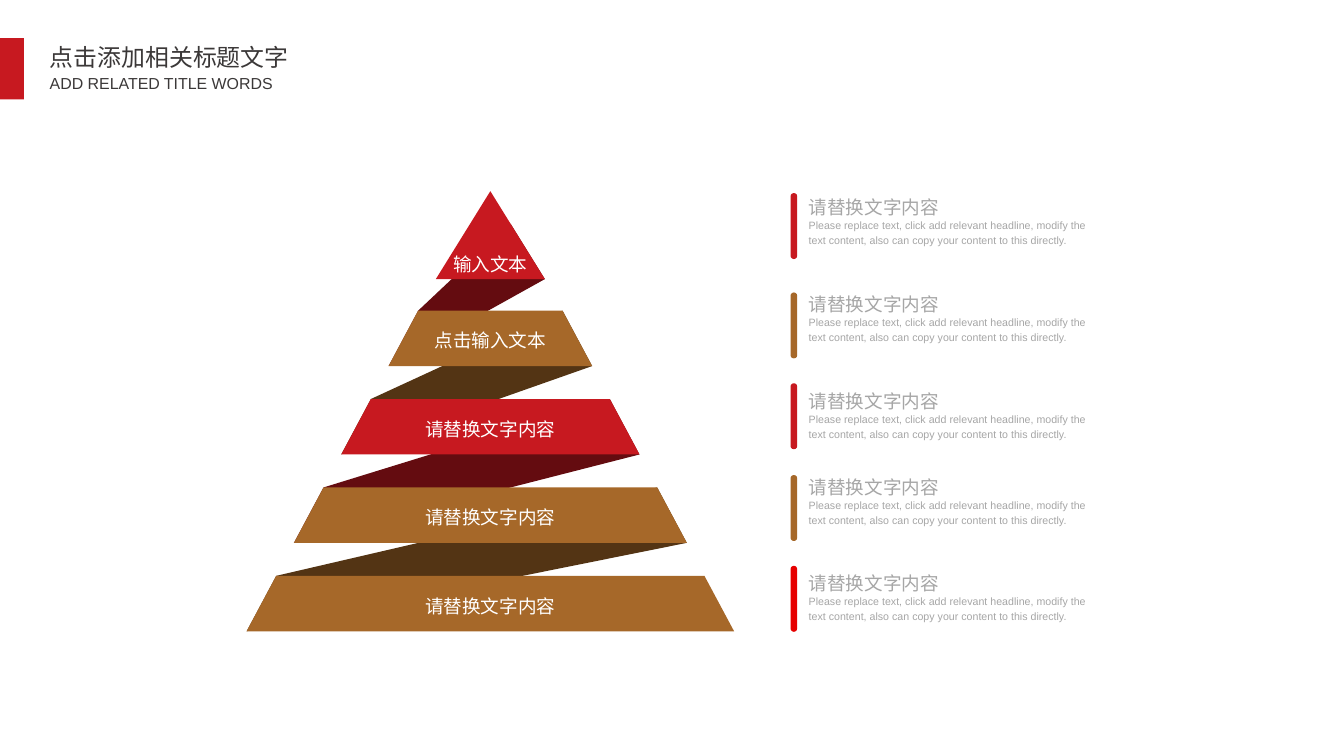
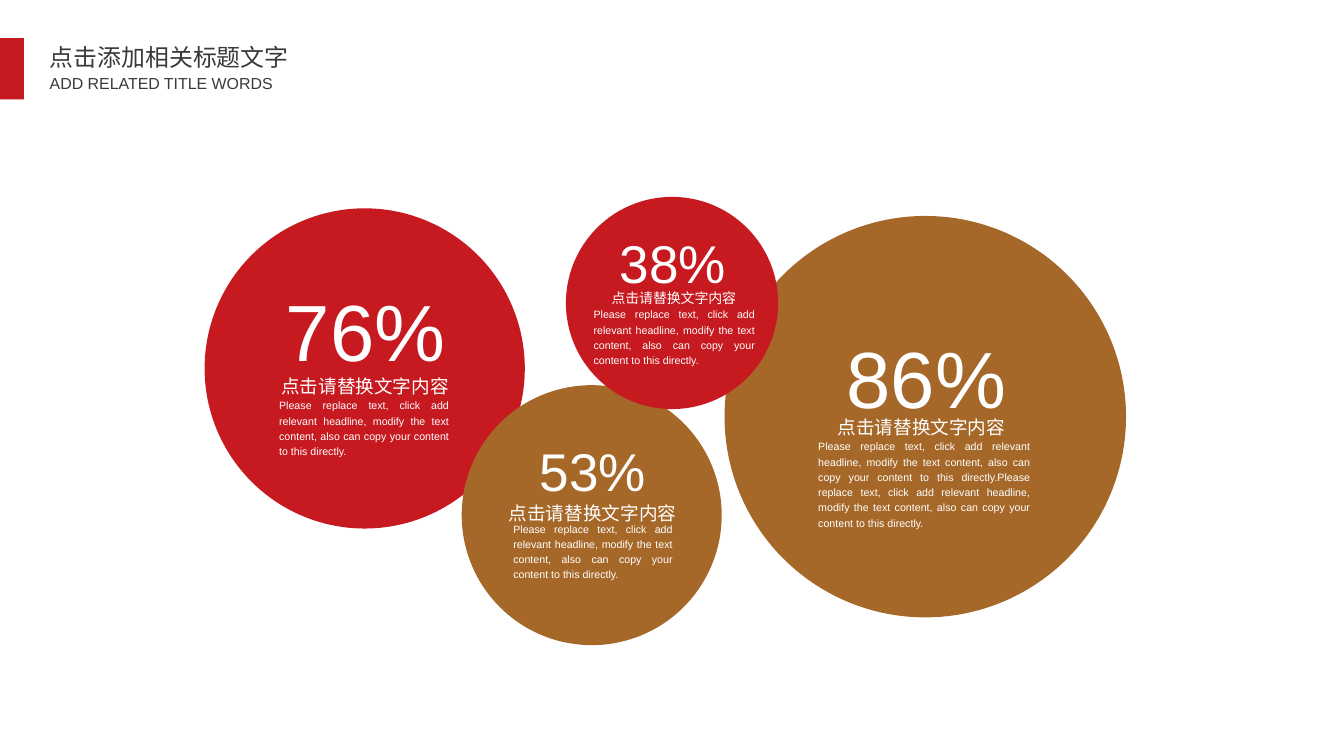
from dataclasses import dataclass

import lxml.etree
import pptx
import pptx.dml.color
import pptx.enum.shapes
import pptx.enum.text
import pptx.oxml.ns
import pptx.util

Inches = pptx.util.Inches
ALIGN = pptx.enum.text.PP_ALIGN
ANCHOR = pptx.enum.text.MSO_ANCHOR
SHAPE = pptx.enum.shapes.MSO_SHAPE

RED, BROWN, BRIGHT_RED = "C71920", "A66829", "E60000"
DARK_RED, DARK_BROWN = "640C10", "533414"
WHITE, GREY, CHARCOAL = "FFFFFF", "A6A6A6", "3B3838"
LATIN_FONT, CHINESE_FONT = "Arial", "Noto Sans CJK SC"

HEADING = "请替换文字内容"
CAPTION = "点击请替换文字内容"
BODY = ("Please replace text, click add relevant headline, modify the text "
        "content, also can copy your content to this directly.")

# Pyramid geometry
CENTER = 5.13
BAND_HEIGHT = 0.58
BAND_SLANT = 0.31
LABEL_HEIGHT = 0.47


@dataclass
class TextStyle:
    size: float
    color: str
    font: str = LATIN_FONT
    align: ALIGN = ALIGN.LEFT
    spacing: float = 1.2


@dataclass
class Band:
    top: float
    height: float
    top_half: float
    bottom_half: float
    label: str
    color: str
    fold_color: str = ""
    label_drop: float = 0.0

    @property
    def bottom(self) -> float:
        return self.top + self.height

    def outline(self) -> list[tuple[float, float]]:
        return [(CENTER - self.top_half, self.top),
                (CENTER - self.bottom_half, self.bottom),
                (CENTER + self.bottom_half, self.bottom),
                (CENTER + self.top_half, self.top)]

    def shoulder(self) -> tuple[float, float]:
        """Point on the right edge, one band height above the bottom."""
        share = BAND_HEIGHT / self.height
        half = self.bottom_half + (self.top_half - self.bottom_half) * share
        return CENTER + half, self.bottom - BAND_HEIGHT


@dataclass
class Item:
    bar_top: float
    text_top: float
    color: str


@dataclass
class Bubble:
    left: float
    top: float
    diameter: float
    color: str
    percent: str
    percent_size: float
    percent_top: float
    caption_center: float
    caption_top: float
    caption_size: float
    body_left: float
    body_top: float
    body_width: float
    body: str = BODY


def middle_band(index: int, label: str, color: str, fold_color: str = "") -> Band:
    half = 0.57 + 0.495 * index
    return Band(3.25 + 0.925 * (index - 1), BAND_HEIGHT, half - BAND_SLANT,
                half, label, color, fold_color)


BANDS = [
    Band(2, 0.92, 0, 0.57, "输入文本", RED, DARK_RED, 0.11),
    middle_band(1, "点击输入文本", BROWN, DARK_BROWN),
    middle_band(2, HEADING, RED, DARK_RED),
    middle_band(3, HEADING, BROWN, DARK_BROWN),
    middle_band(4, HEADING, BROWN),
]
ITEMS = [
    Item(2.02, 2.00, RED),
    Item(3.06, 3.02, BROWN),
    Item(4.01, 4.03, RED),
    Item(4.97, 4.93, BROWN),
    Item(5.92, 5.94, BRIGHT_RED),
]
BUBBLES = [
    Bubble(7.58, 2.26, 4.2, BROWN, "86%", 60, 3.24, 9.64, 4.3, 14,
           8.56, 4.58, 2.22, BODY * 2),
    Bubble(2.14, 2.18, 3.35, RED, "76%", 60, 2.75, 3.82, 3.88, 14,
           2.92, 4.15, 1.78),
    Bubble(4.83, 4.03, 2.72, BROWN, "53%", 40, 4.45, 6.2, 5.2, 14,
           5.37, 5.44, 1.67),
    Bubble(5.92, 2.06, 2.22, RED, "38%", 40, 2.28, 7.05, 2.99, 10.5,
           6.21, 3.2, 1.69),
]


def rgb(color: str) -> pptx.dml.color.RGBColor:
    return pptx.dml.color.RGBColor.from_string(color)


def apply(target, values: dict) -> None:
    for name, value in values.items():
        setattr(target, name, value)


def paint(shape, color: str) -> None:
    shape.fill.solid()
    shape.fill.fore_color.rgb = rgb(color)
    shape.line.fill.background()
    shape.shadow.inherit = False


def write(box, text: str, style: TextStyle, anchor=ANCHOR.TOP,
          margins: tuple[float, float] = (0, 0)) -> None:
    """Fill a text box or placeholder with one formatted paragraph."""
    side, edge = (Inches(margin) for margin in margins)
    frame = box.text_frame
    apply(frame, {"word_wrap": True, "vertical_anchor": anchor,
                  "auto_size": pptx.enum.text.MSO_AUTO_SIZE.NONE,
                  "margin_left": side, "margin_right": side,
                  "margin_top": edge, "margin_bottom": edge})
    para = frame.paragraphs[0]
    apply(para, {"alignment": style.align, "line_spacing": style.spacing,
                 "space_before": pptx.util.Pt(0)})
    span = para.add_run()
    span.text = text
    apply(span.font, {"name": style.font, "size": pptx.util.Pt(style.size)})
    span.font.color.rgb = rgb(style.color)
    # East Asian letters take the same font
    for properties in box.element.iter(pptx.oxml.ns.qn("a:rPr")):
        lxml.etree.SubElement(properties, pptx.oxml.ns.qn("a:ea"),
                              typeface=style.font)


def add_text(page, left: float, top: float, width: float, height: float,
             text: str, style: TextStyle, anchor=ANCHOR.TOP) -> None:
    box = page.shapes.add_textbox(Inches(left), Inches(top), Inches(width),
                                  Inches(height))
    write(box, text, style, anchor)


def add_shape(page, kind: SHAPE, left: float, top: float, width: float,
              height: float, color: str):
    shape = page.shapes.add_shape(kind, Inches(left), Inches(top),
                                  Inches(width), Inches(height))
    paint(shape, color)
    return shape


def add_polygon(page, points: list[tuple[float, float]], color: str) -> None:
    start, *others = [(Inches(x), Inches(y)) for x, y in points]
    builder = page.shapes.build_freeform(*start)
    builder.add_line_segments(others, close=True)
    paint(builder.convert_to_shape(), color)


def add_page(deck):
    """Add a page with the shared Chinese and English titles."""
    page = deck.slides.add_slide(deck.slide_layouts[0])
    headers = [
        (0.40, 0.41, "点击添加相关标题文字", TextStyle(18, CHARCOAL, CHINESE_FONT, spacing=1.0)),
        (0.72, 0.31, "ADD RELATED TITLE WORDS", TextStyle(12, CHARCOAL, spacing=1.0)),
    ]
    for box, (top, height, text, style) in zip(page.placeholders, headers):
        apply(box, {"left": Inches(0.41), "top": Inches(top),
                    "width": Inches(4), "height": Inches(height)})
        write(box, text, style, margins=(0.11, 0.05))
    return page


def add_shared_band(deck, page) -> None:
    """Place the red edge band on the layout that all pages share."""
    band = add_shape(page, SHAPE.RECTANGLE, 0, 0.4, 0.25, 0.64, RED)
    deck.slide_layouts[0].shapes.element.append(band.element)


def draw_pyramid(page) -> None:
    # Folds lie behind the bands they join
    for upper, lower in zip(BANDS, BANDS[1:]):
        lower_left = lower.outline()[:2]
        add_polygon(page, [upper.shoulder(), *lower_left, upper.outline()[2]],
                    upper.fold_color)
    style = TextStyle(14, WHITE, align=ALIGN.CENTER)
    for band in BANDS:
        points = band.outline() if band.top_half else band.outline()[:3]
        add_polygon(page, points, band.color)
        label_top = band.bottom - (BAND_HEIGHT + LABEL_HEIGHT) / 2 + band.label_drop
        add_text(page, CENTER - band.bottom_half, label_top,
                 2 * band.bottom_half, LABEL_HEIGHT, band.label, style,
                 ANCHOR.MIDDLE)


def draw_items(page) -> None:
    for item in ITEMS:
        bar = add_shape(page, SHAPE.ROUND_2_SAME_RECTANGLE, 8.27, item.bar_top,
                        0.07, 0.69, item.color)
        for corner in range(2):
            bar.adjustments[corner] = 0.5
        add_text(page, 8.46, item.text_top, 2.95, 0.28, HEADING,
                 TextStyle(14, GREY))
        add_text(page, 8.46, item.text_top + 0.26, 2.95, 0.31, BODY,
                 TextStyle(8, GREY))


def draw_bubble(page, bubble: Bubble) -> None:
    add_shape(page, SHAPE.OVAL, bubble.left, bubble.top, bubble.diameter,
              bubble.diameter, bubble.color)
    middle = bubble.left + bubble.diameter / 2 + 0.01
    lines = [
        (middle, bubble.percent_top, bubble.percent, bubble.percent_size),
        (bubble.caption_center, bubble.caption_top, CAPTION, bubble.caption_size),
    ]
    for center, top, text, size in lines:
        add_text(page, center - 1, top, 2, size / 50, text,
                 TextStyle(size, WHITE, align=ALIGN.CENTER))
    add_text(page, bubble.body_left, bubble.body_top, bubble.body_width, 0.65,
             bubble.body, TextStyle(8, WHITE, align=ALIGN.JUSTIFY))


def main() -> None:
    deck = pptx.Presentation()
    apply(deck, {"slide_width": Inches(14.06), "slide_height": Inches(7.91)})

    # Pyramid with explanations
    pyramid_page = add_page(deck)
    add_shared_band(deck, pyramid_page)
    draw_pyramid(pyramid_page)
    draw_items(pyramid_page)

    # Percentage bubbles
    bubble_page = add_page(deck)
    for bubble in BUBBLES:
        draw_bubble(bubble_page, bubble)

    deck.save("out.pptx")


if __name__ == "__main__":
    main()
